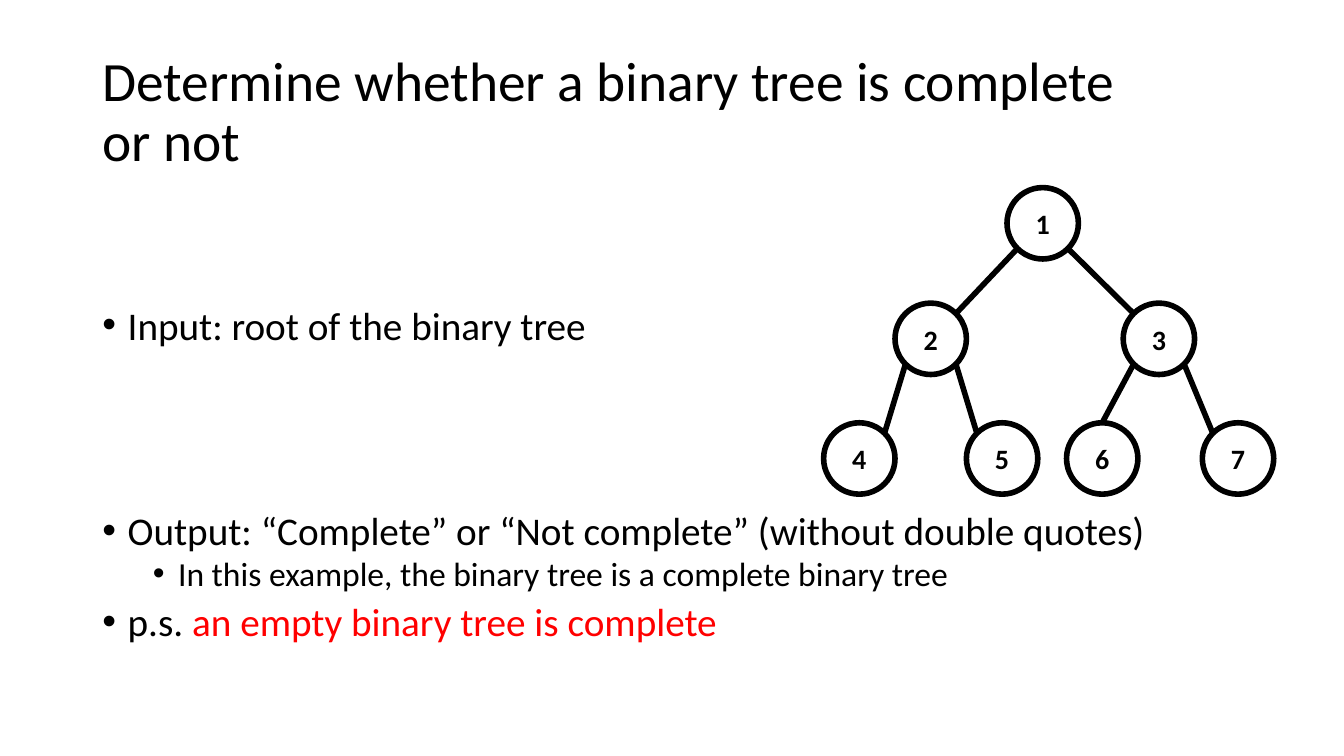
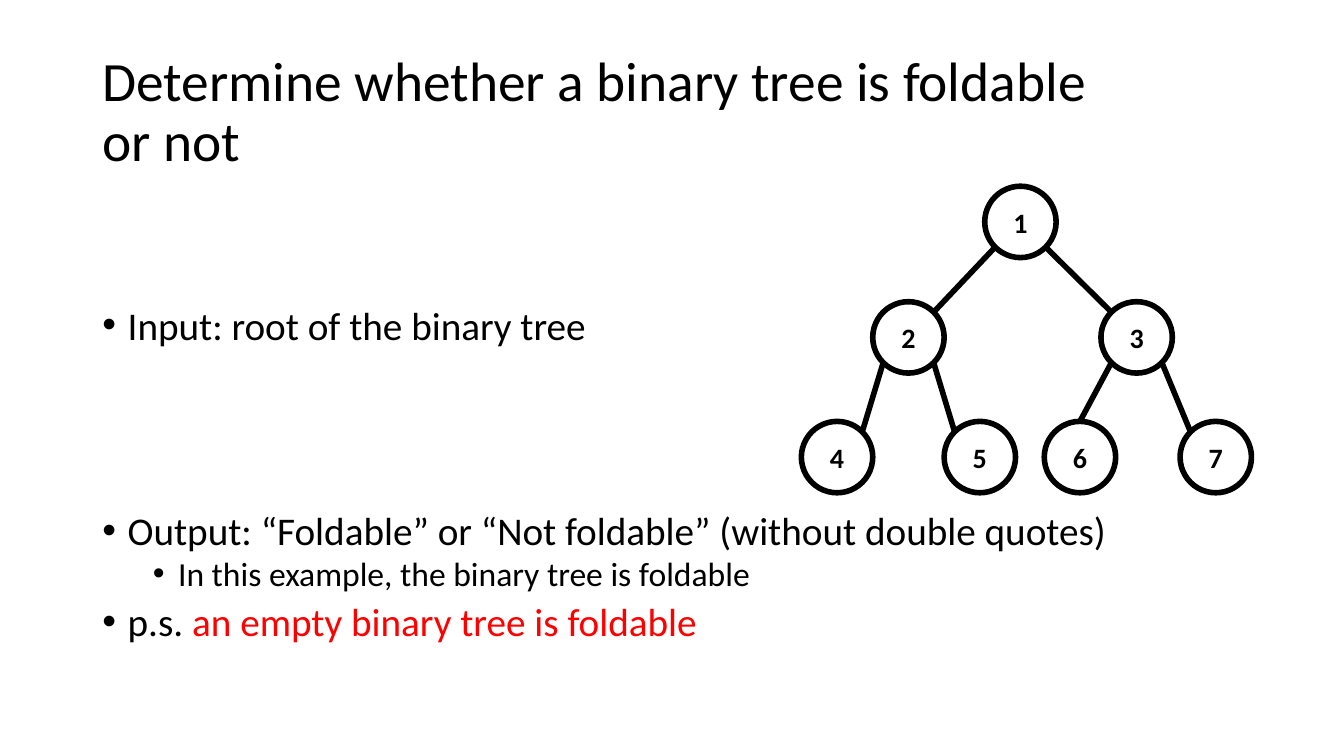
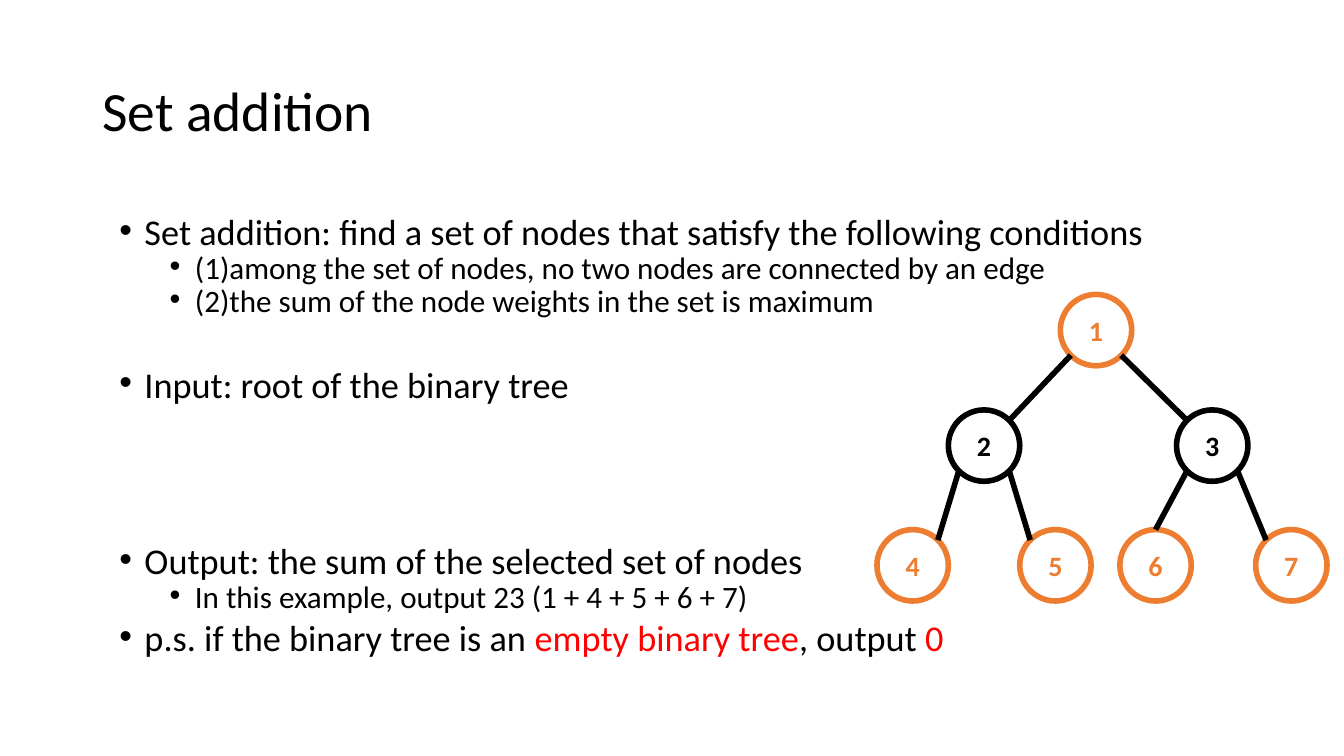
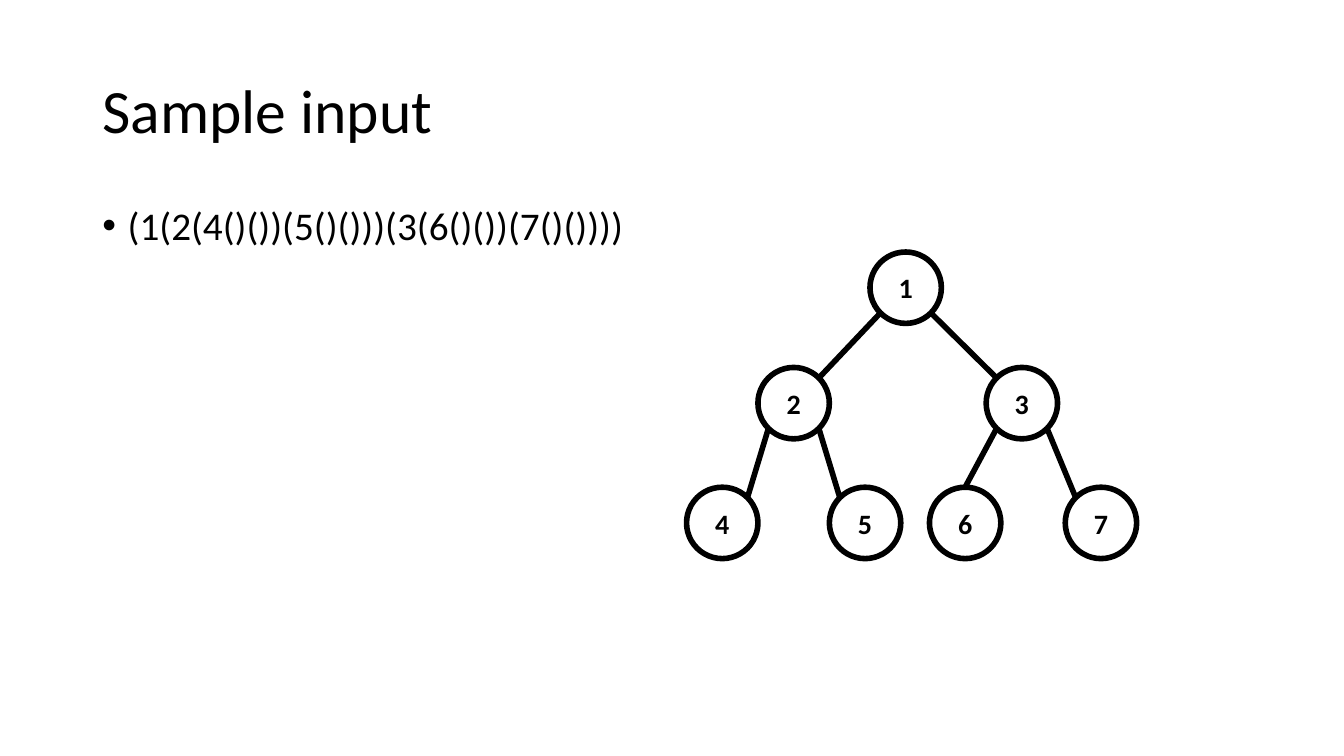
import pptx
import pptx.dml.color
import pptx.enum.shapes
import pptx.enum.text
import pptx.oxml.ns
import pptx.util
import lxml.etree

Pt = pptx.util.Pt
BLACK, RED, ORANGE = "000000", "FF0000", "ED7D31"
DIAMETER = 51
DIAGONAL = 18
NODES = {1: (0, 0), 2: (-80, 82.5), 3: (83, 82.5), 4: (-131, 168),
         5: (-29, 168), 6: (42.5, 168), 7: (139.5, 168)}
EDGES = [(1, 2), (1, 3), (2, 4), (2, 5), (3, 6), (3, 7)]


def color(value):
    """Turn a hex string into a colour."""
    return pptx.dml.color.RGBColor.from_string(value)


class Deck:
    """Holds the shared style and the current slide."""

    def __init__(self):
        """Open a wide presentation."""
        self.prs = pptx.Presentation()
        self.prs.slide_width, self.prs.slide_height = Pt(960), Pt(540)
        self.font = "Calibri"

    def format_runs(self, p, size, value=BLACK, bold=False):
        """Apply the deck font to every run of a paragraph."""
        for r in p.runs:
            r.font.name, r.font.size, r.font.bold = self.font, Pt(size), bold
            r.font.color.rgb = color(value)

    def place(self, sp, left, top, width, height, anchor):
        """Move a placeholder and fix how its text sits."""
        sp.left, sp.top, sp.width, sp.height = map(Pt, (left, top, width, height))
        tf = sp.text_frame
        tf.auto_size = pptx.enum.text.MSO_AUTO_SIZE.NONE
        tf.word_wrap = True
        tf.vertical_anchor = anchor
        return tf

    def slide(self, title, size=39.6):
        """Add a slide with its title."""
        self.s = self.prs.slides.add_slide(self.prs.slide_layouts[1])
        tf = self.place(self.s.shapes.title, 66, 28.8, 828, 104.4,
                        pptx.enum.text.MSO_ANCHOR.MIDDLE)
        tf.text = title
        p = tf.paragraphs[0]
        p.alignment = pptx.enum.text.PP_ALIGN.LEFT
        p.line_spacing = 0.9
        self.format_runs(p, size)

    def bullets(self, items, left=66, top=98.6, height=387.4, inset=3.6,
                sizes=(28, 24), spacing=0.8):
        """Fill the body with (level, space before, text); *stars* mark red."""
        tf = self.place(self.s.placeholders[1], left, top, 828, height,
                        pptx.enum.text.MSO_ANCHOR.TOP)
        tf.margin_top = Pt(inset)
        for i, (level, before, text) in enumerate(items):
            p = tf.add_paragraph() if i else tf.paragraphs[0]
            p.level, p.line_spacing, p.space_before = level, spacing, Pt(before)
            pieces = text.split("*")
            for piece in filter(None, pieces):
                p.add_run().text = piece
            self.format_runs(p, sizes[level])
            for r in p.runs:
                if r.text in pieces[1::2]:
                    r.font.color.rgb = color(RED)
            pPr = p._p.get_or_add_pPr()
            pPr.set("marL", str(Pt(18 + 36 * level)))
            pPr.set("indent", str(-Pt(18)))
            bullet = lxml.etree.SubElement(pPr, pptx.oxml.ns.qn("a:buChar"))
            bullet.set("char", "\u2022")

    def node(self, shapes, label, left, top, value):
        """Draw one numbered circle."""
        sp = shapes.add_shape(pptx.enum.shapes.MSO_SHAPE.OVAL, Pt(left), Pt(top),
                              Pt(DIAMETER), Pt(DIAMETER))
        sp.shadow.inherit = False
        sp.fill.background()
        sp.line.color.rgb, sp.line.width = color(value), Pt(4)
        tf = sp.text_frame
        tf.margin_left = tf.margin_right = 0
        tf.vertical_anchor = pptx.enum.text.MSO_ANCHOR.MIDDLE
        tf.text = str(label)
        p = tf.paragraphs[0]
        p.alignment = pptx.enum.text.PP_ALIGN.CENTER
        self.format_runs(p, 20, value, True)

    def edge(self, shapes, *ends):
        """Draw a straight line between two points."""
        line = shapes.add_connector(pptx.enum.shapes.MSO_CONNECTOR.STRAIGHT,
                                    *map(Pt, ends))
        line.line.color.rgb, line.line.width = color(BLACK), Pt(4)
        lxml.etree.SubElement(line._element.spPr, pptx.oxml.ns.qn("a:effectLst"))

    def tree(self, left, top, selected=()):
        """Draw the tree with its root at the given corner."""
        shapes = self.s.shapes.add_group_shape().shapes
        for label, (dx, dy) in NODES.items():
            self.node(shapes, label, left + dx, top + dy,
                      ORANGE if label in selected else BLACK)
        radius = DIAMETER / 2
        for parent, child in EDGES:
            (x1, y1), (x2, y2) = NODES[parent], NODES[child]
            side = 1 if x2 > x1 else -1
            reach = (0, radius) if child == 6 else (DIAGONAL, DIAGONAL)
            self.edge(shapes,
                      left + x1 + radius + side * DIAGONAL,
                      top + y1 + radius + DIAGONAL,
                      left + x2 + radius - side * reach[0],
                      top + y2 + radius - reach[1])


deck = Deck()

for word, example, root in [("complete", "a complete binary tree", (719.3, 134)),
                            ("foldable", "foldable", (703.4, 133))]:
    deck.slide(f"Determine whether a binary tree is {word}\vor not")
    deck.bullets([
        (0, 10, "Input: root of the binary tree"),
        (0, 120, f"Output: “{word.title()}” or “Not {word}” (without double quotes)"),
        (1, 5, f"In this example, the binary tree is {example}"),
        (0, 10, f"p.s. *an empty binary tree is {word}*"),
    ], inset=123)
    deck.tree(*root)

deck.slide("Set addition")
deck.bullets([
    (0, 10, "Set addition: find a set of nodes that satisfy the following conditions"),
    (1, 5, "(1)among the set of nodes, no two nodes are connected by an edge"),
    (1, 5, "(2)the sum of the node weights in the set is maximum"),
    (0, 40, "Input: root of the binary tree"),
    (0, 104, "Output: the sum of the selected set of nodes"),
    (1, 5, "In this example, output 23 (1 + 4 + 5 + 6 + 7)"),
    (0, 10, "p.s. if the binary tree is an *empty binary tree*, output *0*"),
], left=78, top=110.9, inset=47, sizes=(25.9, 22.2), spacing=0.7)
deck.tree(757.4, 210.3, selected=(1, 4, 5, 6, 7))

deck.slide("Sample input", size=44)
deck.bullets([(0, 10, "(1(2(4()())(5()()))(3(6()())(7()())))")],
             top=144, height=342.7, spacing=0.9)
deck.tree(621.4, 180)

deck.prs.save("out.pptx")
